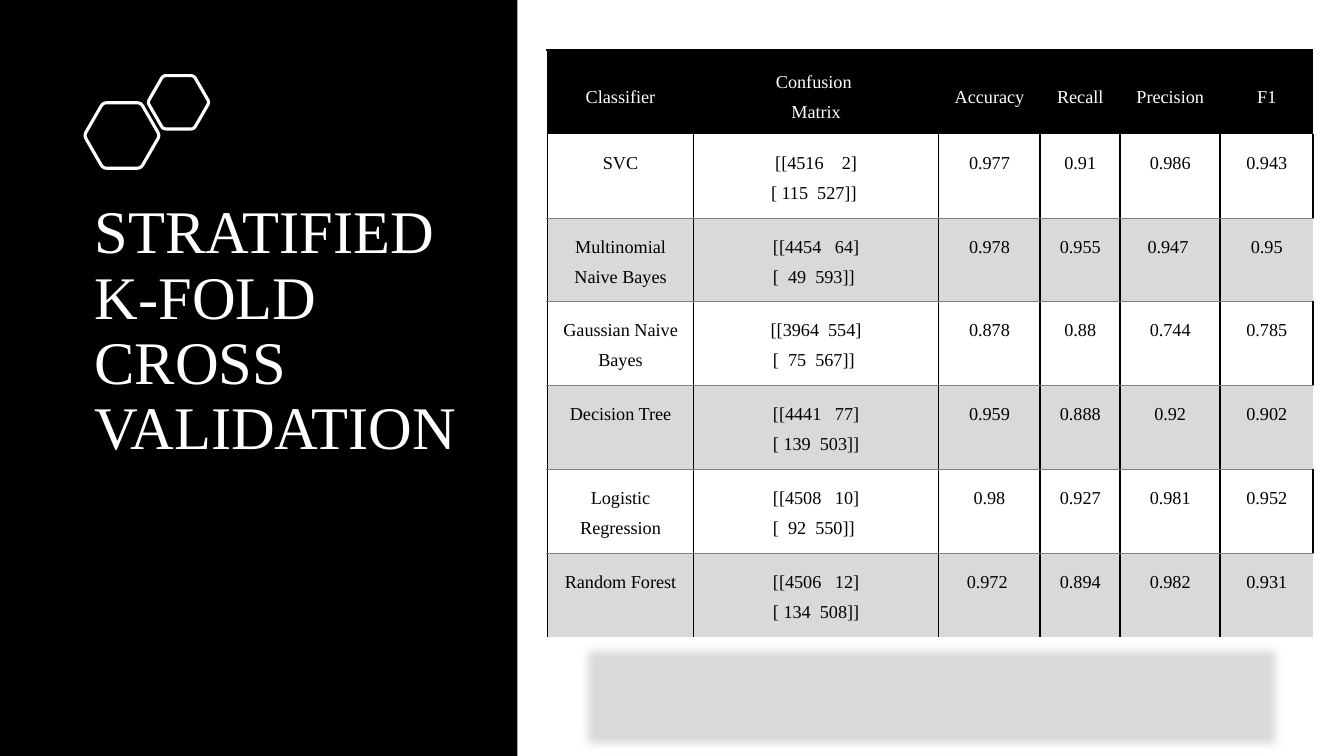
import math

from lxml import etree
from pptx import Presentation
from pptx import util as u
from pptx.dml.color import RGBColor
from pptx.enum import shapes, text
from pptx.oxml import ns

FONT = "Times New Roman"
BLACK, WHITE, GREY, RULE = "000000", "FFFFFF", "D9D9D9", "808080"


def colour(value):
    return RGBColor.from_string(value)


def write(frame, content, size, hue, spacing, align=text.PP_ALIGN.LEFT):
    """Fill a text frame, one paragraph per line of content."""
    frame.word_wrap = True
    for index, line in enumerate(content.split("\n")):
        para = frame.add_paragraph() if index else frame.paragraphs[0]
        para.alignment = align
        para.line_spacing = spacing
        span = para.add_run()
        span.text = line
        span.font.name = FONT
        span.font.size = u.Pt(size)
        span.font.color.rgb = colour(hue)


deck = Presentation()
deck.slide_width, deck.slide_height = u.Pt(960), u.Pt(540)
page = deck.slides.add_slide(deck.slide_layouts[6])

# Black side panel and soft grey band
panels = [(0, 0, 369.5, 540, BLACK), (411, 456, 509, 84, GREY)]
for left, top, width, height, hue in panels:
    panel = page.shapes.add_shape(
        shapes.MSO_SHAPE.RECTANGLE, u.Pt(left), u.Pt(top), u.Pt(width), u.Pt(height))
    panel.shadow.inherit = False
    panel.fill.solid()
    panel.fill.fore_color.rgb = colour(hue)
    panel.line.fill.background()
effects = panel._element.spPr.find(ns.qn("a:effectLst"))
etree.SubElement(effects, ns.qn("a:softEdge"), rad=str(u.Pt(8)))

# Title
title = page.shapes.add_textbox(u.Pt(60.5), u.Pt(140.4), u.Pt(282.2), u.Pt(252))
write(title.text_frame, "STRATIFIED K-FOLD CROSS VALIDATION", 43.2, WHITE, 0.9)

# Two hexagons with rounded corners
hexagons = page.shapes.add_group_shape()
CUT = 0.1  # share of each side taken by a corner
for centre_x, centre_y, radius in [(87.1, 96.8, 27), (127.5, 73.1, 22)]:
    corners = [(centre_x + radius * math.cos(math.radians(60 * k)),
                centre_y + radius * math.sin(math.radians(60 * k))) for k in range(6)]
    outline = []
    for k, corner in enumerate(corners):
        before, after = corners[k - 1], corners[(k + 1) % 6]
        for t in (0, 0.25, 0.5, 0.75, 1):
            outline.append(tuple(
                u.Pt(c + CUT * ((1 - t) ** 2 * (b - c) + t ** 2 * (a - c)))
                for b, c, a in zip(before, corner, after)))
    builder = hexagons.shapes.build_freeform(*outline[0])
    builder.add_line_segments(outline[1:], close=True)
    hexagon = builder.convert_to_shape()
    hexagon.shadow.inherit = False
    hexagon.fill.background()
    hexagon.line.color.rgb = colour(WHITE)
    hexagon.line.width = u.Pt(2.25)

# Results table
results = [
    ("Classifier", "Confusion \nMatrix", "Accuracy", "Recall", "Precision", "F1"),
    ("SVC", "[[4516    2]\n[ 115  527]] ", "0.977", "0.91", "0.986", "0.943"),
    ("Multinomial Naive Bayes", "[[4454   64]\n[  49  593]] ",
     "0.978", "0.955", "0.947 ", "0.95"),
    ("Gaussian Naive Bayes", "[[3964  554]\n[  75  567]] ",
     "0.878", "0.88", "0.744", "0.785"),
    ("Decision Tree", "[[4441   77]\n[ 139  503]]", "0.959", "0.888", "0.92", "0.902"),
    ("Logistic Regression", "[[4508   10]\n[  92  550]] ",
     "0.98", "0.927", "0.981", "0.952"),
    ("Random Forest", "[[4506   12]\n[ 134  508]]", "0.972 ", "0.894", "0.982", "0.931"),
]
widths = [104.4, 175, 72.7, 57.1, 71.4, 66.6]
heights = [57.5, 56, 58, 58, 55.5, 58, 55.5]
frame = page.shapes.add_table(
    len(heights), len(widths), u.Pt(391), u.Pt(36), u.Pt(sum(widths)), u.Pt(sum(heights)))
table = frame.table
table.first_row = table.horz_banding = False
style = table._tbl.tblPr.find(ns.qn("a:tableStyleId"))
style.text = "{2D5ABB26-0587-4C30-8999-92F81FD0307C}"  # no style, no grid
for column, width in zip(table.columns, widths):
    column.width = u.Pt(width)
for row, height in zip(table.rows, heights):
    row.height = u.Pt(height)

last = len(widths) - 1
for r, values in enumerate(results):
    header, shaded = r == 0, r > 0 and r % 2 == 0
    for c, value in enumerate(values):
        cell = table.cell(r, c)
        cell.margin_left = cell.margin_right = u.Pt(8.6)
        cell.margin_top = cell.margin_bottom = u.Pt(6.5)
        cell.vertical_anchor = text.MSO_ANCHOR.MIDDLE if header else text.MSO_ANCHOR.TOP
        write(cell.text_frame, value, 13, WHITE if header else BLACK, 1.5,
              text.PP_ALIGN.CENTER)
        if header or shaded:
            cell.fill.solid()
            cell.fill.fore_color.rgb = colour(BLACK if header else GREY)
        else:
            cell.fill.background()

        borders = []
        if c == 0 or not header:
            borders.append(("a:lnL", BLACK, 1.5))
        if not header and (c < last or not shaded):
            borders.append(("a:lnR", BLACK, 1.5))
        if header or shaded:
            borders.append(("a:lnT", BLACK if header else RULE, 1.5 if header else 0.5))
        if r < len(results) - 1 and r % 2:
            borders.append(("a:lnB", RULE, 0.5))
        properties = cell._tc.get_or_add_tcPr()
        for place, (side, hue, weight) in enumerate(borders):
            edge = etree.Element(ns.qn(side), w=str(u.Pt(weight)))
            fill = etree.SubElement(edge, ns.qn("a:solidFill"))
            etree.SubElement(fill, ns.qn("a:srgbClr"), val=hue)
            properties.insert(place, edge)

deck.save("out.pptx")
